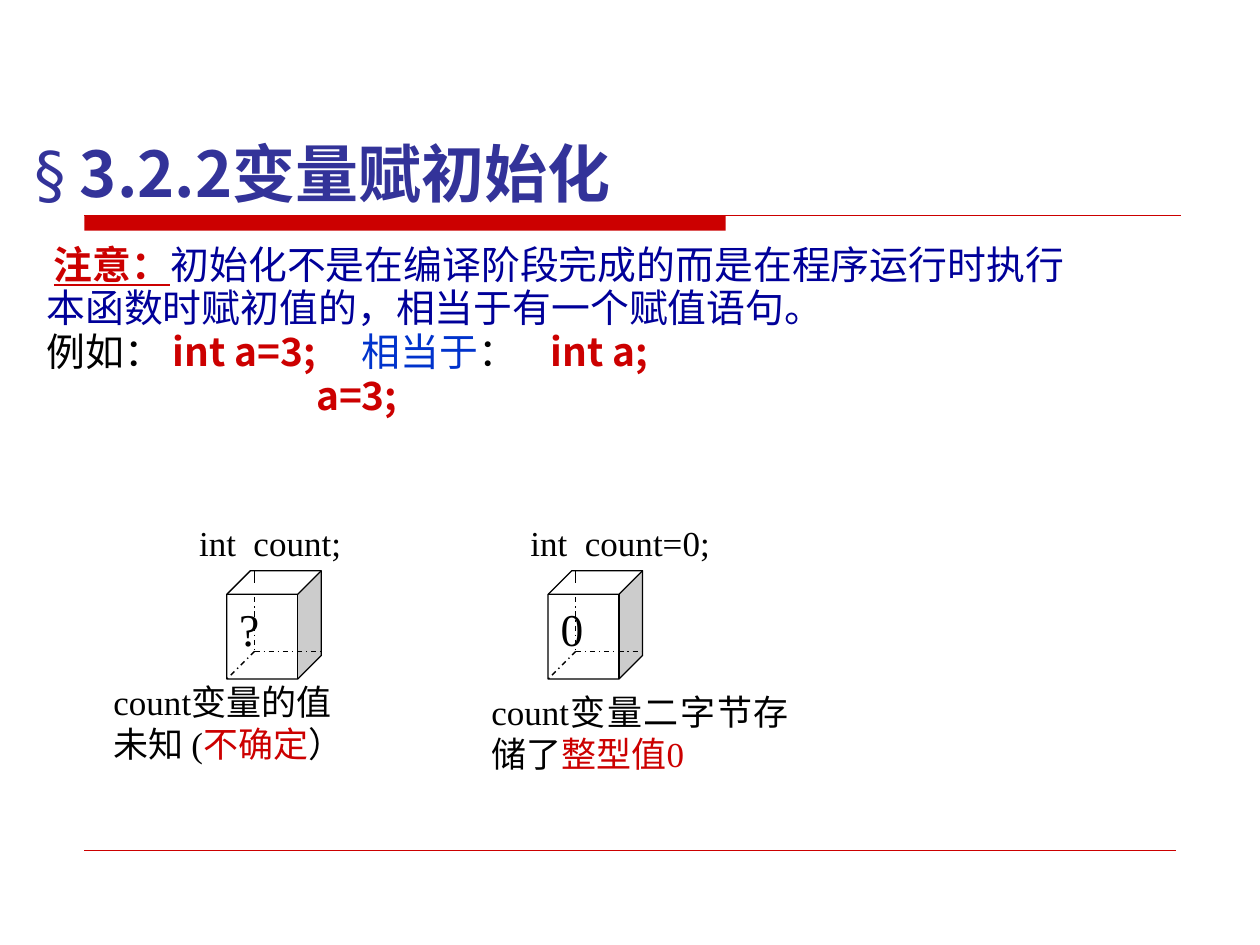
from dataclasses import dataclass

from lxml.etree import SubElement
from pptx import Presentation
from pptx.dml.color import RGBColor
from pptx.enum.dml import MSO_LINE
from pptx.enum.shapes import MSO_CONNECTOR, MSO_SHAPE
from pptx.enum.text import MSO_ANCHOR, MSO_AUTO_SIZE, PP_ALIGN
from pptx.oxml.ns import qn
from pptx.util import Inches, Pt


@dataclass(frozen=True)
class Theme:
    """Colours, fonts and type sizes of the slide."""

    red: str = "CC0000"
    title: str = "333399"
    navy: str = "000099"
    blue: str = "0033CC"
    black: str = "000000"
    white: str = "FFFFFF"
    symbol_font: str = "DejaVu Sans"
    chinese_font: str = "Noto Sans CJK SC"
    code_font: str = "Times New Roman"
    title_size: float = 36
    body_size: float = 22.2
    label_size: float = 20
    value_size: float = 26
    rule_width: float = 0.75
    footer_width: float = 0.25


THEME = Theme()
COLUMNS, ROWS = 100, 75


def grid(units):
    """Convert grid units, a tenth of an inch each, to a length."""
    return Inches(units / 10)


def add_run(paragraph, text, *, size, color=THEME.black, font=THEME.chinese_font,
            east_asian=THEME.chinese_font, bold=False, underline=False):
    """Append formatted text to a paragraph."""
    run = paragraph.add_run()
    run.text = text
    run.font.size = Pt(size)
    run.font.bold = bold
    run.font.underline = underline
    run.font.color.rgb = RGBColor.from_string(color)
    run.font.name = font
    SubElement(run.font._element, qn("a:ea"), typeface=east_asian)


def set_indent(paragraph, left=0, first=0, tabs=()):
    """Set the indents and tab stops of a paragraph in grid units."""
    properties = paragraph._p.get_or_add_pPr()
    properties.set("marL", str(grid(left)))
    properties.set("indent", str(grid(first)))
    if tabs:
        stops = SubElement(properties, qn("a:tabLst"))
        for tab in tabs:
            SubElement(stops, qn("a:tab"), pos=str(grid(tab)), algn="l")


def prepare_frame(frame, margins=(0, 0, 0, 0), anchor=MSO_ANCHOR.TOP):
    """Set wrapping, insets and anchor of a text frame."""
    frame.word_wrap = True
    frame.auto_size = MSO_AUTO_SIZE.NONE
    frame.vertical_anchor = anchor
    (frame.margin_left, frame.margin_top,
     frame.margin_right, frame.margin_bottom) = map(grid, margins)


def fill_frame(frame, lines, align=PP_ALIGN.LEFT, **defaults):
    """Write lines of (text, format) runs and return their paragraphs."""
    paragraphs = []
    for index, line in enumerate(lines):
        paragraph = frame.add_paragraph() if index else frame.paragraphs[0]
        paragraph.alignment = align
        for text, changes in line:
            add_run(paragraph, text, **{**defaults, **changes})
        paragraphs.append(paragraph)
    return paragraphs


def add_line(shapes, start, end, color=THEME.black, width=THEME.rule_width, dash=None):
    """Draw a straight line between two grid points."""
    line = shapes.add_connector(MSO_CONNECTOR.STRAIGHT, *map(grid, (*start, *end)))
    line.line.color.rgb = RGBColor.from_string(color)
    line.line.width = Pt(width)
    if dash:
        line.line.dash_style = dash
    SubElement(line._element.spPr, qn("a:effectLst"))


def add_shape(shapes, kind, box, fill, outline=None):
    """Draw a filled preset shape."""
    shape = shapes.add_shape(kind, *map(grid, box))
    shape.shadow.inherit = False
    shape.fill.solid()
    shape.fill.fore_color.rgb = RGBColor.from_string(fill)
    if outline:
        shape.line.color.rgb = RGBColor.from_string(outline)
        shape.line.width = Pt(THEME.rule_width)
    else:
        shape.line.fill.background()
    return shape


def add_rules(slide):
    """Draw the bar and rule below the title and the footer rule."""
    add_shape(slide.shapes, MSO_SHAPE.RECTANGLE, (6.7, 17.1, 50.9, 1.2), THEME.red)
    add_line(slide.shapes, (6.7, 17.1), (93.7, 17.1), THEME.red)
    add_line(slide.shapes, (6.7, 67.5), (93.3, 67.5), THEME.red, THEME.footer_width)


def add_title(slide):
    """Place and write the title."""
    title = slide.shapes.title
    title.left, title.top, title.width, title.height = map(grid, (0, 9.1, COLUMNS, 8.1))
    prepare_frame(title.text_frame, (2.7, 0.5, 1, 0.5), MSO_ANCHOR.BOTTOM)
    symbol = {"font": THEME.symbol_font, "east_asian": THEME.symbol_font}
    fill_frame(title.text_frame, [[("§", symbol), (" 3.2.2变量赋初始化", {"bold": True})]],
               size=THEME.title_size, color=THEME.title)


def add_label(slide, box, lines):
    """Add a justified label in the code font."""
    frame = slide.shapes.add_textbox(*map(grid, box)).text_frame
    prepare_frame(frame)
    fill_frame(frame, lines, PP_ALIGN.JUSTIFY, size=THEME.label_size, font=THEME.code_font)


def add_body(slide):
    """Add the note on initialisation with its example."""
    frame = slide.shapes.add_textbox(*map(grid, (2.7, 19.4, 92.1, 18.9))).text_frame
    prepare_frame(frame, (1, 0.1, 1, 0.5))
    code = {"color": THEME.red, "bold": True}
    paragraphs = fill_frame(frame, [
        [("注意：", {**code, "underline": True}),
         ("初始化不是在编译阶段完成的而是在程序运行时执行", {})],
        [("本函数时赋初值的，相当于有一个赋值语句。", {})],
        [("例如：", {"color": THEME.black}), ("\tint a=3;\t", code),
         ("相当于", {"color": THEME.blue}), ("：\t", {"color": THEME.black}),
         ("int a;", code)],
        [("a=3;", code)],
    ], size=THEME.body_size, color=THEME.navy)
    indents = [{"first": 0.6}, {}, {"tabs": (9.9, 24.2, 37.9)}, {"left": 21.4}]
    for index, (paragraph, indent) in enumerate(zip(paragraphs, indents)):
        set_indent(paragraph, **indent)
        paragraph.line_spacing = 0.9
        paragraph.space_before = Pt(1 if index else 0)


def add_memory_cell(slide, left, value):
    """Draw a cube that holds a value, with its hidden edges."""
    shapes = slide.shapes.add_group_shape().shapes
    top, width, height, depth = 45.3, 7.5, 8.6, 2.2
    cube = add_shape(shapes, MSO_SHAPE.CUBE, (left, top, width, height),
                     THEME.white, THEME.black)
    cube.adjustments[0] = 0.25
    prepare_frame(cube.text_frame, (1, 0.5, 1, 0.5))
    fill_frame(cube.text_frame, [[(value, {})]], PP_ALIGN.JUSTIFY,
               size=THEME.value_size, font=THEME.code_font)
    back, bottom = left + depth, top + height
    corner = (back, bottom - depth)
    add_line(shapes, (back, top), (back, top + 1))
    for start, end in (((back, top + 2.1), corner), (corner, (left, bottom)),
                       (corner, (left + width, corner[1]))):
        add_line(shapes, start, end, dash=MSO_LINE.DASH_DOT)


def main():
    """Build and save the slide."""
    presentation = Presentation()
    presentation.slide_width, presentation.slide_height = grid(COLUMNS), grid(ROWS)
    slide = presentation.slides.add_slide(presentation.slide_layouts[5])
    red = {"color": THEME.red}
    add_rules(slide)
    add_title(slide)
    add_body(slide)
    add_label(slide, (15.8, 41.4, 18.5, 3.8), [[("int  count;", {})]])
    add_label(slide, (9, 54, 20.5, 8.7), [
        [("count变量的值", {})],
        [("未知 (", {}), ("不确定", red), ("）", {})],
    ])
    add_label(slide, (39, 54.8, 23.6, 6.8),
              [[("count变量二字节存储了", {}), ("整型值0", red)]])
    add_memory_cell(slide, 18, "?")
    add_memory_cell(slide, 43.5, "0")
    add_label(slide, (42.1, 41.4, 22.1, 3.4), [[("int  count=0;", {})]])
    presentation.save("out.pptx")


if __name__ == "__main__":
    main()
